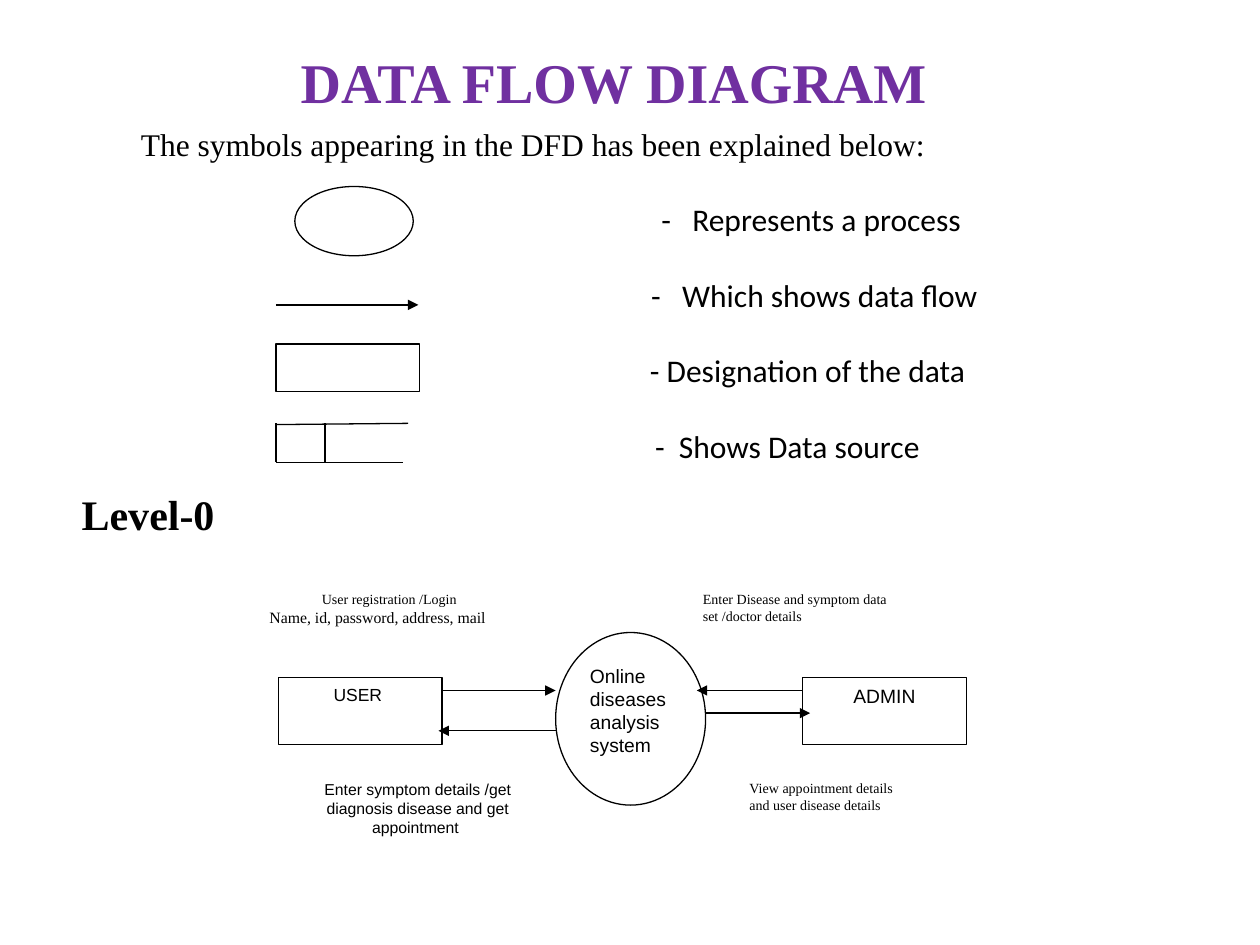
from lxml import etree
from pptx import Presentation
from pptx.dml.color import RGBColor
from pptx.enum.shapes import MSO_CONNECTOR, MSO_SHAPE
from pptx.enum.text import MSO_ANCHOR, PP_ALIGN
from pptx.oxml.ns import qn
from pptx.util import Inches, Pt

RECT, OVAL = MSO_SHAPE.RECTANGLE, MSO_SHAPE.OVAL
LEFT, CENTER = PP_ALIGN.LEFT, PP_ALIGN.CENTER
BLACK = RGBColor(0, 0, 0)
WHITE = RGBColor(255, 255, 255)
PURPLE = RGBColor(0x70, 0x30, 0xA0)
SERIF, SANS, BODY = "Times New Roman", "Arial", "Calibri"

# Content: lengths in inches, text sizes in points
TITLE = "DATA FLOW DIAGRAM"
INTRO = "The symbols appearing in the DFD has been explained below:"
LEVEL = "Level-0"
# meaning, left edge of its dash, extra points between dash and meaning
MEANINGS = [
    ("Represents a process", 5.25, 8.14),
    ("Which shows data flow", 5.17, 8.14),
    ("Designation of the data", 5.16, 0),
    ("Shows Data source", 5.2, 4.07),
]
LEGEND_BOX = (1.02, 0.94, 8.05, 3.1)
INSET = 0.1

# Legend symbols share a left edge
SYMBOL_X = 2.19
SYMBOLS = [(OVAL, (2.34, 1.48, 0.94, 0.55)), (RECT, (SYMBOL_X, 2.73, 1.14, 0.38))]
STORE_TOP, STORE_BOTTOM, STORE_DIVIDER = 3.36, 3.67, 2.58
STORE_LINES = [
    (SYMBOL_X, STORE_TOP + 0.01, 3.24, STORE_TOP),
    (SYMBOL_X, STORE_BOTTOM, 3.2, STORE_BOTTOM),
    (SYMBOL_X, STORE_TOP, SYMBOL_X, STORE_BOTTOM),
    (STORE_DIVIDER, STORE_TOP, STORE_DIVIDER, STORE_BOTTOM),
]

# Level-0 diagram: the process between two entities
ENTITY_Y, ENTITY_W, ENTITY_H = 5.38, 1.3, 0.53
USER_X, PROCESS_X, PROCESS_W, ADMIN_X = 2.21, 4.41, 1.19, 6.37
USER_EDGE, PROCESS_EDGE = USER_X + ENTITY_W, PROCESS_X + PROCESS_W
UPPER_FLOW, LOWER_FLOW = 5.48, 5.8
ABOVE, BELOW = 4.64, 6.14

# shape, box, alignment, font, lines of (text, size)
NODES = [
    (RECT, (USER_X, ENTITY_Y, ENTITY_W, ENTITY_H), CENTER, SANS, [("USER ", 10)]),
    (OVAL, (PROCESS_X, 5.02, PROCESS_W, 1.37), LEFT, SANS,
     [("Online diseases analysis system", 11)]),
    (RECT, (ADMIN_X, ENTITY_Y, ENTITY_W, ENTITY_H), CENTER, SANS, [("ADMIN", 11)]),
]
FLOW_LABELS = [
    (RECT, (USER_X, BELOW, 2.21, 0.74), CENTER, SANS,
     [("Enter symptom details /get diagnosis disease and get appointment ", 9)]),
    (RECT, (2.04, ABOVE, 2.13, 0.59), CENTER, SERIF,
     [("User registration /Login ", 8), ("Name, id, password, address, mail", 9)]),
    (RECT, (5.85, BELOW, 1.47, 0.54), LEFT, SERIF,
     [("View appointment details and user disease details", 8)]),
    (RECT, (5.48, ABOVE, 1.9, 0.47), LEFT, SERIF,
     [("Enter Disease and symptom data set /doctor details", 8)]),
]
FLOWS = [
    (USER_EDGE, UPPER_FLOW, PROCESS_X, UPPER_FLOW),
    (PROCESS_X, LOWER_FLOW, USER_EDGE - 0.03, LOWER_FLOW),
    (ADMIN_X, UPPER_FLOW, 5.53, UPPER_FLOW),
    (PROCESS_EDGE, 5.66, 6.43, 5.66),
]

prs = Presentation()
prs.slide_width, prs.slide_height = Inches(10), Inches(7.5)
slide = prs.slides.add_slide(prs.slide_layouts[5])


def inches(values):
    return [Inches(value) for value in values]


def write(paragraph, text, size, font, color=BLACK, bold=False):
    run = paragraph.add_run()
    run.text = text
    run.font.size, run.font.name, run.font.bold = Pt(size), font, bold
    run.font.color.rgb = color
    return run


def draw_shape(kind, box, outline=BLACK):
    shape = slide.shapes.add_shape(kind, *inches(box))
    shape.shadow.inherit = False
    shape.fill.solid()
    shape.fill.fore_color.rgb = WHITE
    shape.line.color.rgb = outline
    shape.line.width = Pt(0.75)
    return shape


def draw_node(kind, box, align, font, lines, outline=BLACK):
    frame = draw_shape(kind, box, outline).text_frame
    frame.word_wrap = True
    frame.vertical_anchor = MSO_ANCHOR.TOP
    for i, (text, size) in enumerate(lines):
        paragraph = frame.add_paragraph() if i else frame.paragraphs[0]
        paragraph.alignment = align if i == 0 else LEFT
        write(paragraph, text, size, font)


def draw_line(ends, arrow=False):
    line = slide.shapes.add_connector(MSO_CONNECTOR.STRAIGHT, *inches(ends))
    line.line.color.rgb = BLACK
    line.line.width = Pt(0.75)
    if arrow:
        outline = line._element.spPr.find(qn("a:ln"))
        etree.SubElement(outline, qn("a:tailEnd"), type="triangle")
    etree.SubElement(line._element.spPr, qn("a:effectLst"))


# Title
title = slide.shapes.title
title.left, title.top, title.width, title.height = inches((0.37, 0.02, 9, 1.25))
title.text_frame.vertical_anchor = MSO_ANCHOR.MIDDLE
title.text_frame.paragraphs[0].alignment = CENTER
write(title.text_frame.paragraphs[0], TITLE, 32, SERIF, PURPLE, True)

# Level-0 diagram
for node in NODES:
    draw_node(*node)
for label in FLOW_LABELS:
    draw_node(*label, outline=WHITE)
for flow in FLOWS:
    draw_line(flow, arrow=True)

# Level heading
heading = slide.shapes.add_textbox(*inches((0.55, 3.83, 1.5, 0.5))).text_frame
heading.word_wrap = True
write(heading.paragraphs[0], LEVEL, 24, SERIF, bold=True)

# Legend wording, with the gap after each dash set by character spacing
legend = slide.shapes.add_textbox(*inches(LEGEND_BOX)).text_frame
legend.word_wrap = True
write(legend.paragraphs[0], INTRO, 18, SERIF)
for meaning, dash_x, gap in MEANINGS:
    paragraph = legend.add_paragraph()
    paragraph.space_before = Pt(21.6)
    margin = Inches(dash_x - LEGEND_BOX[0] - INSET)
    paragraph._p.get_or_add_pPr().set("marL", str(margin))
    write(paragraph, "-", 18, BODY)
    space = write(paragraph, " ", 18, BODY)
    space.font._element.set("spc", str(round(gap * 100)))
    write(paragraph, meaning, 18, BODY)

# Legend symbols
for symbol in SYMBOLS:
    draw_shape(*symbol)
draw_line((SYMBOL_X, 2.42, 3.32, 2.42), arrow=True)
for store_line in STORE_LINES:
    draw_line(store_line)

prs.save("out.pptx")
